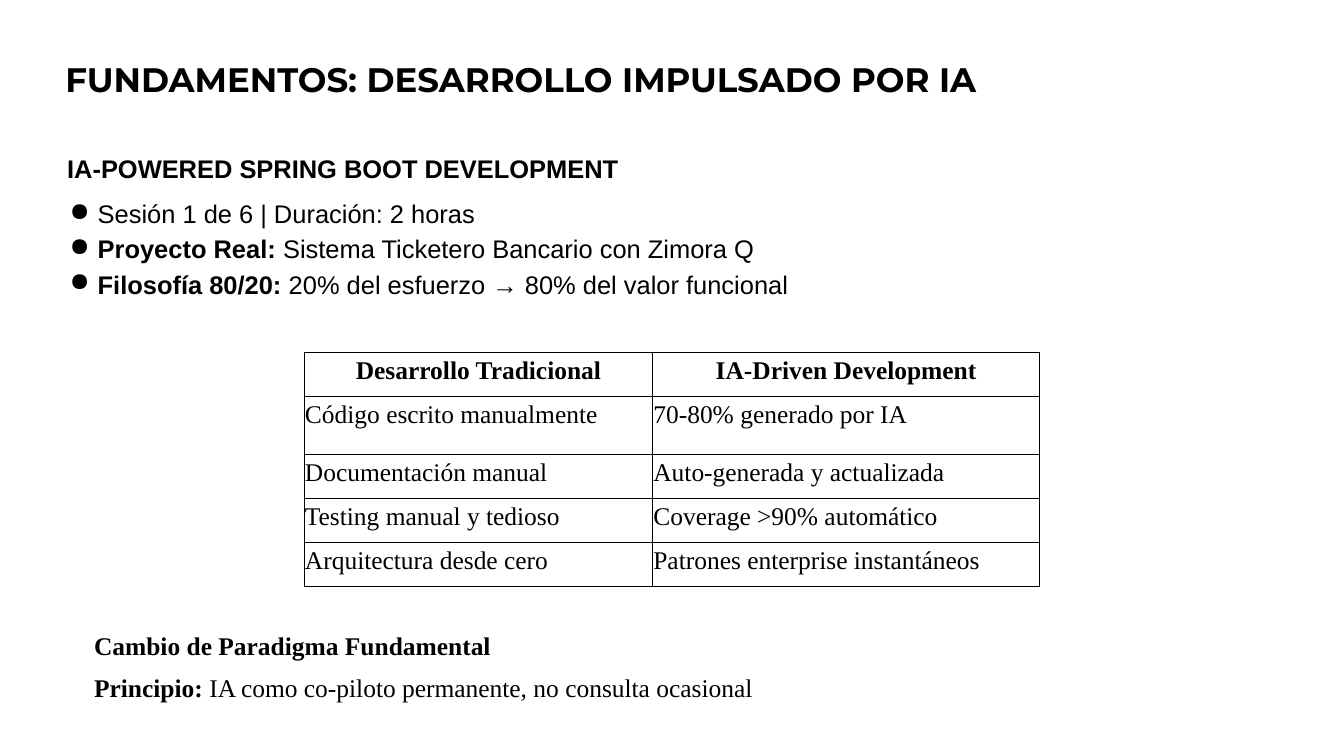
import dataclasses
import typing

import lxml.etree
import pptx
import pptx.dml.color
import pptx.enum.text
import pptx.oxml
import pptx.oxml.ns
import pptx.util

Inches = pptx.util.Inches
Pt = pptx.util.Pt
Align = pptx.enum.text.PP_ALIGN
Anchor = pptx.enum.text.MSO_ANCHOR


@dataclasses.dataclass(frozen=True)
class Theme:
    ink: str = "000000"
    paper: str = "FFFFFF"
    title_size: int = 40
    body_size: int = 30
    title_font: str = "Montserrat"
    list_font: str = "Arial"
    table_font: str = "Times New Roman"
    line_spacing: float = 1.15


THEME = Theme()


class Run(typing.NamedTuple):
    text: str
    bold: bool = False


@dataclasses.dataclass(frozen=True)
class Line:
    runs: tuple[Run, ...]
    bullet: bool = False
    before: int = 0
    after: int = 0
    spacing: float = THEME.line_spacing
    align: Align = Align.LEFT


@dataclasses.dataclass(frozen=True)
class TextBlock:
    left: float
    top: float
    width: float
    height: float
    font: str
    size: int
    lines: tuple[Line, ...]
    anchor: Anchor = Anchor.TOP


TEXT_BLOCKS = (
    TextBlock(0.97, 0.85, 16.23, 0.98, THEME.title_font, THEME.title_size, (
        Line((Run("FUNDAMENTOS: DESARROLLO IMPULSADO POR IA", True),), spacing=1.0),
    )),
    TextBlock(1, 2.33, 20.21, 2.62, THEME.list_font, THEME.body_size, (
        Line((Run("IA-POWERED SPRING BOOT DEVELOPMENT", True),)),
        Line((Run("Sesión 1 de 6 | Duración: 2 horas"),), bullet=True, before=12),
        Line((Run("Proyecto Real:", True),
              Run(" Sistema Ticketero Bancario con Zimora Q")), bullet=True),
        Line((Run("Filosofía 80/20:", True),
              Run(" 20% del esfuerzo → 80% del valor funcional")), bullet=True),
    )),
    TextBlock(1.44, 10.37, 11.77, 0.98, THEME.table_font, THEME.body_size, (
        Line((Run("Cambio de Paradigma Fundamental", True),)),
        Line((Run("Principio:", True),
              Run(" IA como co-piloto permanente, no consulta ocasional")), before=8, after=8),
    ), Anchor.MIDDLE),
)

COMPARISON = (
    ("Desarrollo Tradicional", "IA-Driven Development"),
    ("Código escrito manualmente", "70-80% generado por IA"),
    ("Documentación manual", "Auto-generada y actualizada"),
    ("Testing manual y tedioso", "Coverage >90% automático"),
    ("Arquitectura desde cero", "Patrones enterprise instantáneos"),
)
COLUMN_WIDTHS = (5.7, 6.33)
ROW_HEIGHTS = (0.72, 0.95, 0.72, 0.72, 0.72)


def set_attributes(target: typing.Any, values: dict[str, typing.Any]) -> None:
    for name, value in values.items():
        setattr(target, name, value)


def margins(size: float) -> dict[str, int]:
    return {f"margin_{side}": Inches(size) for side in ("left", "top", "right", "bottom")}


def add_bullet(paragraph: typing.Any) -> None:
    properties = paragraph._p.get_or_add_pPr()
    properties.set("marL", str(Inches(0.5)))
    properties.set("indent", str(Inches(-0.46)))
    qualified = pptx.oxml.ns.qn
    color = lxml.etree.SubElement(properties, qualified("a:buClr"))
    lxml.etree.SubElement(color, qualified("a:srgbClr"), val=THEME.ink)
    lxml.etree.SubElement(properties, qualified("a:buChar"), char="●")


def write_lines(text_frame: typing.Any, lines: tuple[Line, ...], font: str, size: int) -> None:
    for index, line in enumerate(lines):
        paragraph = text_frame.add_paragraph() if index else text_frame.paragraphs[0]
        if line.bullet:
            add_bullet(paragraph)
        set_attributes(paragraph, {
            "alignment": line.align,
            "line_spacing": line.spacing,
            "space_before": Pt(line.before),
            "space_after": Pt(line.after),
        })
        for part in line.runs:
            run = paragraph.add_run()
            run.text = part.text
            set_attributes(run.font, {"name": font, "size": Pt(size), "bold": part.bold})
            run.font.color.rgb = pptx.dml.color.RGBColor.from_string(THEME.ink)


def add_text_block(slide: typing.Any, block: TextBlock) -> None:
    bounds = (block.left, block.top, block.width, block.height)
    shape = slide.shapes.add_textbox(*map(Inches, bounds))
    set_attributes(shape.text_frame, {
        "word_wrap": True, "vertical_anchor": block.anchor, **margins(0.1),
    })
    write_lines(shape.text_frame, block.lines, block.font, block.size)


def add_borders(cell: typing.Any) -> None:
    properties = cell._tc.get_or_add_tcPr()
    for side in "LRTB":
        properties.append(pptx.oxml.parse_xml(
            f'<a:ln{side} {pptx.oxml.ns.nsdecls("a")} w="{Pt(1)}"><a:solidFill>'
            f'<a:srgbClr val="{THEME.ink}"/></a:solidFill></a:ln{side}>'
        ))


def add_comparison_table(slide: typing.Any) -> None:
    bounds = (4.98, 5.76, sum(COLUMN_WIDTHS), sum(ROW_HEIGHTS))
    table = slide.shapes.add_table(
        len(COMPARISON), len(COLUMN_WIDTHS), *map(Inches, bounds)
    ).table
    set_attributes(table, {"first_row": False, "horz_banding": False})
    for column, width in zip(table.columns, COLUMN_WIDTHS):
        column.width = Inches(width)
    for row_index, (row, height) in enumerate(zip(table.rows, ROW_HEIGHTS)):
        row.height = Inches(height)
        header = row_index == 0
        for cell, text in zip(row.cells, COMPARISON[row_index]):
            set_attributes(cell, {"vertical_anchor": Anchor.TOP, **margins(0.01)})
            add_borders(cell)
            cell.fill.background()
            line = Line((Run(text, header),), align=Align.CENTER if header else Align.LEFT)
            write_lines(cell.text_frame, (line,), THEME.table_font, THEME.body_size)


def main() -> None:
    presentation = pptx.Presentation()
    set_attributes(presentation, {"slide_width": Inches(21.99), "slide_height": Inches(12.37)})
    slide = presentation.slides.add_slide(presentation.slide_layouts[6])
    slide.background.fill.solid()
    slide.background.fill.fore_color.rgb = pptx.dml.color.RGBColor.from_string(THEME.paper)
    for block in TEXT_BLOCKS:
        add_text_block(slide, block)
    add_comparison_table(slide)
    presentation.save("out.pptx")


if __name__ == "__main__":
    main()
